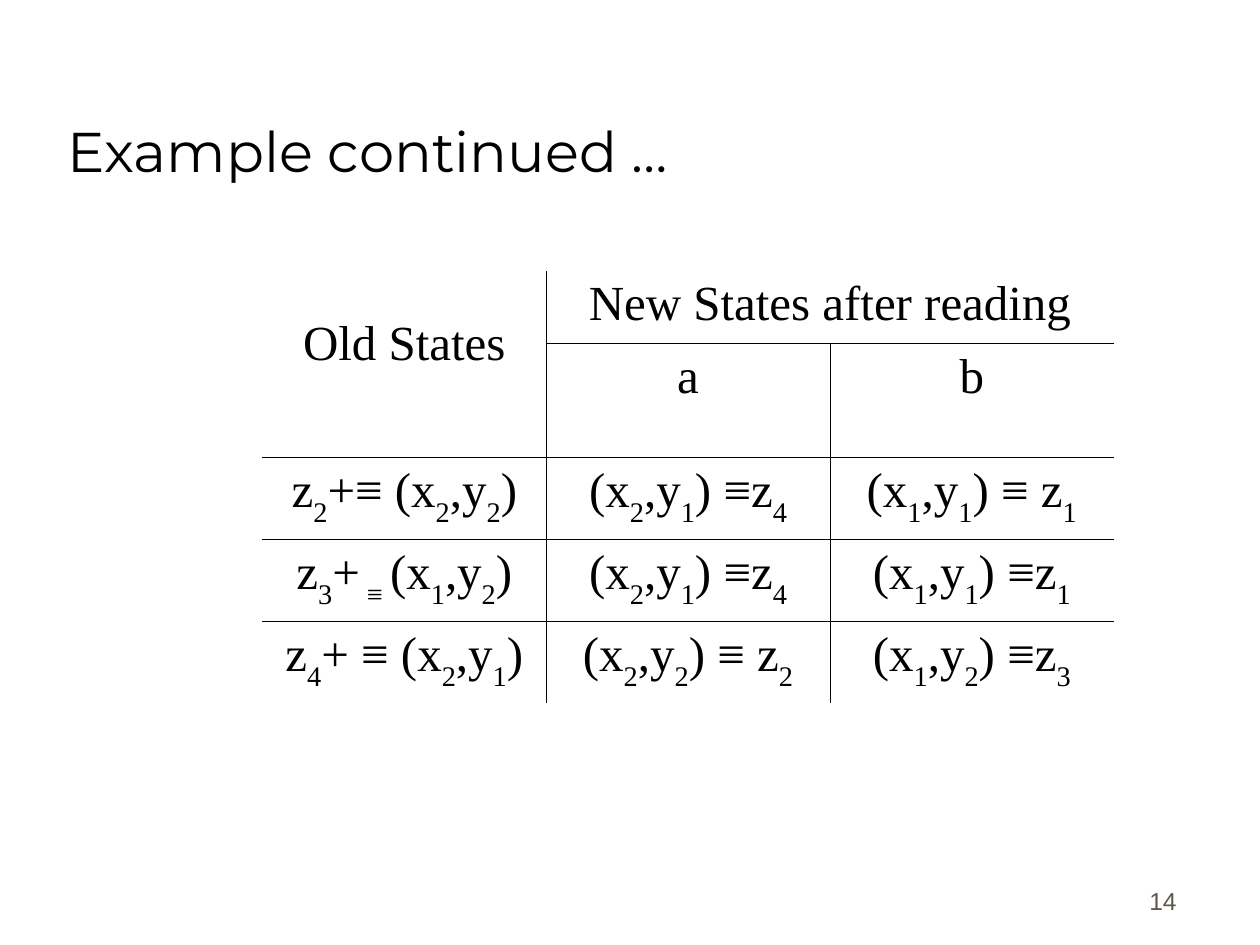
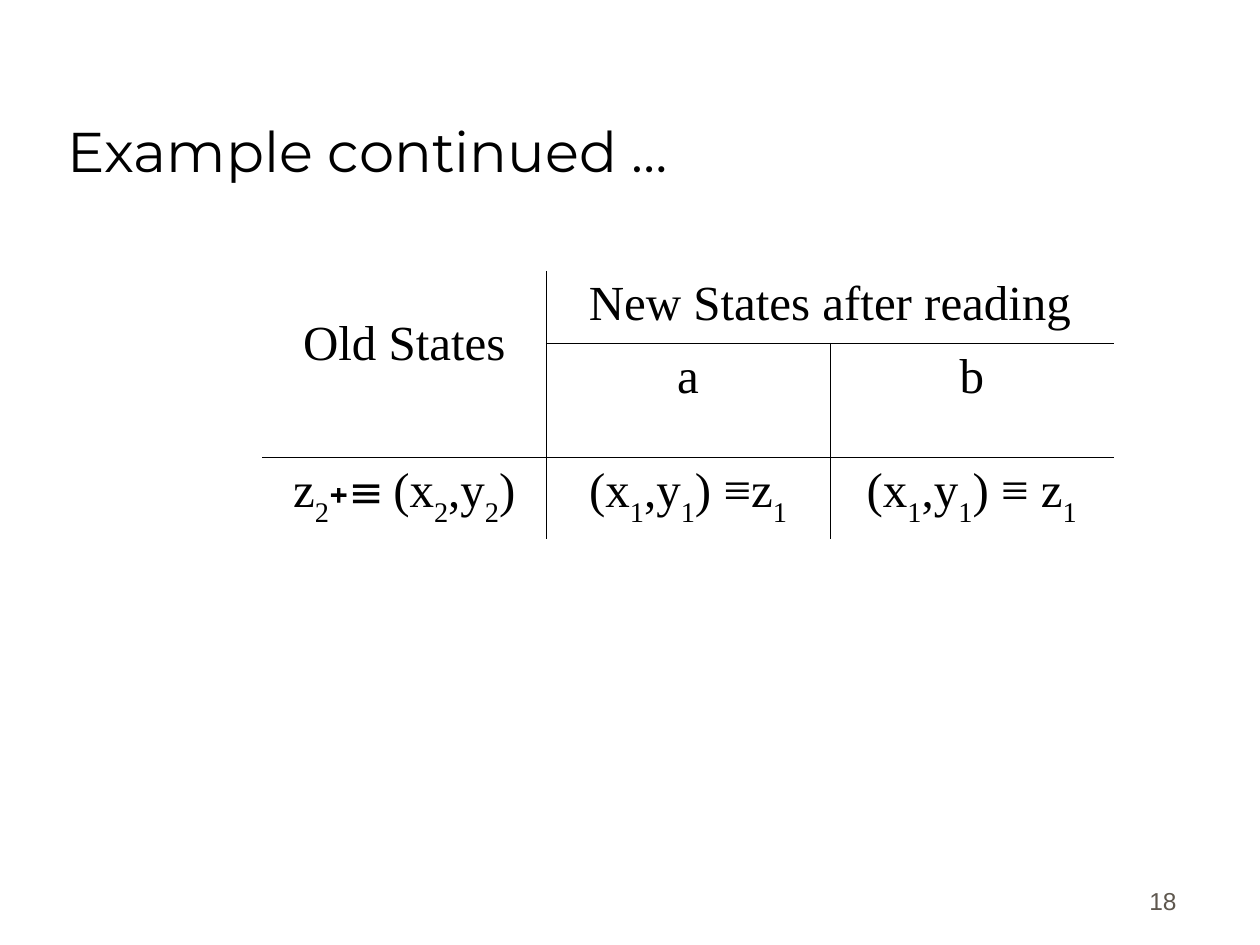
from dataclasses import dataclass

from lxml.etree import SubElement
from pptx import Presentation
from pptx.dml.color import RGBColor
from pptx.enum.text import MSO_ANCHOR as Anchor, PP_ALIGN as Align
from pptx.oxml.ns import qn
from pptx.util import Cm, Pt


@dataclass(frozen=True)
class Theme:
    ink: str = "000000"
    muted: str = "5E574E"
    title_font: str = "Montserrat"
    number_font: str = "Arial"
    table_font: str = "Times New Roman"
    symbol_font: str = "Cabin"
    title_size: int = 32
    number_size: int = 14
    table_size: int = 28
    symbol_size: int = 24
    rule_width: float = 0.45


SUBSCRIPT = "-30000"
COLUMN_WIDTH = 5.72
HEADER_HEIGHTS = [1.46, 2.3]
STATE_HEIGHT = 1.65
OLD_STATES_TOP = 0.92
HEADERS = [["Old States", "New States after reading", ""], ["", "a", "b"]]

# "|" separates base text from subscripts; "~" marks text in the symbol font.
PAGES = [
    (14, [
        ["z|2|+≡ (x|2|,y|2|)", "(x|2|,y|1|) ≡z|4", "(x|1|,y|1|) ≡ z|1"],
        ["z|3|+| ≡ |(x|1|,y|2|)", "(x|2|,y|1|) ≡z|4", "(x|1|,y|1|) ≡z|1"],
        ["z|4|+ ≡ (x|2|,y|1|)", "(x|2|,y|2|) ≡ z|2", "(x|1|,y|2|) ≡z|3"],
    ]),
    (18, [
        ["z|2|~+≡ ~(x|2|,y|2|)", "(x|1|,y|1|) ≡z|1", "(x|1|,y|1|) ≡ z|1"],
    ]),
]


class SlideWriter:
    def __init__(self, deck, theme):
        self.deck = deck
        self.theme = theme
        self.page = None

    def new_page(self):
        self.page = self.deck.slides.add_slide(self.deck.slide_layouts[6])

    def span(self, para, text, font, size, color, subscript=False):
        span = para.add_run()
        span.text = text
        span.font.name = font
        span.font.size = Pt(size)
        span.font.color.rgb = RGBColor.from_string(color)
        if subscript:
            span._r.get_or_add_rPr().set("baseline", SUBSCRIPT)

    def text_box(self, left, top, width, height, align):
        frame = self.page.shapes.add_textbox(
            Cm(left), Cm(top), Cm(width), Cm(height)).text_frame
        frame.word_wrap = True
        frame.vertical_anchor = Anchor.BOTTOM
        para = frame.paragraphs[0]
        para.alignment = align
        return para

    def title(self, text):
        look = self.theme
        para = self.text_box(1.12, 0.64, 21.59, 3.18, Align.LEFT)
        self.span(para, text, look.title_font, look.title_size, look.ink)

    def page_number(self, number):
        look = self.theme
        para = self.text_box(18.69, 17.3, 5.28, 1.27, Align.RIGHT)
        self.span(para, str(number), look.number_font, look.number_size, look.muted)

    def formula(self, para, text):
        look = self.theme
        for index, piece in enumerate(text.split("|")):
            for order, part in enumerate(piece.split("~")):
                if not part:
                    continue
                font, size = ((look.symbol_font, look.symbol_size) if order % 2
                              else (look.table_font, look.table_size))
                self.span(para, part, font, size, look.ink, index % 2 == 1)

    def borders(self, cell, edges):
        properties = cell._tc.get_or_add_tcPr()
        for tag, visible in edges.items():
            line = SubElement(properties, qn(f"a:{tag}"),
                              w=str(Pt(self.theme.rule_width)))
            if visible:
                fill = SubElement(line, qn("a:solidFill"))
                SubElement(fill, qn("a:srgbClr"), val=self.theme.ink)
            else:
                SubElement(line, qn("a:noFill"))

    def state_table(self, states):
        rows = HEADERS + states
        heights = HEADER_HEIGHTS + [STATE_HEIGHT] * len(states)
        columns = len(rows[0])
        table = self.page.shapes.add_table(
            len(rows), columns, Cm(5.29), Cm(5.46),
            Cm(COLUMN_WIDTH * columns), Cm(sum(heights))).table
        table.first_row = table.horz_banding = False
        for column in table.columns:
            column.width = Cm(COLUMN_WIDTH)
        for row, height in zip(table.rows, heights):
            row.height = Cm(height)
        table.cell(0, 0).merge(table.cell(1, 0))
        table.cell(0, 1).merge(table.cell(0, 2))
        for row, texts in enumerate(rows):
            for column, text in enumerate(texts):
                cell = table.cell(row, column)
                shown = not cell.is_spanned
                self.borders(cell, {
                    "lnL": shown and column > 0,
                    "lnR": shown and column + cell.span_width < columns,
                    "lnT": shown and row > 0,
                    "lnB": shown and row + cell.span_height < len(rows),
                })
                cell.fill.background()
                para = cell.text_frame.paragraphs[0]
                para.alignment = Align.CENTER
                self.formula(para, text)
        table.cell(0, 0).margin_top = Cm(OLD_STATES_TOP)


def main():
    deck = Presentation()
    deck.slide_width, deck.slide_height = Cm(25.4), Cm(19.05)
    writer = SlideWriter(deck, Theme())
    for number, states in PAGES:
        writer.new_page()
        writer.page_number(number)
        writer.title("Example continued …")
        writer.state_table(states)
    deck.save("out.pptx")


if __name__ == "__main__":
    main()
